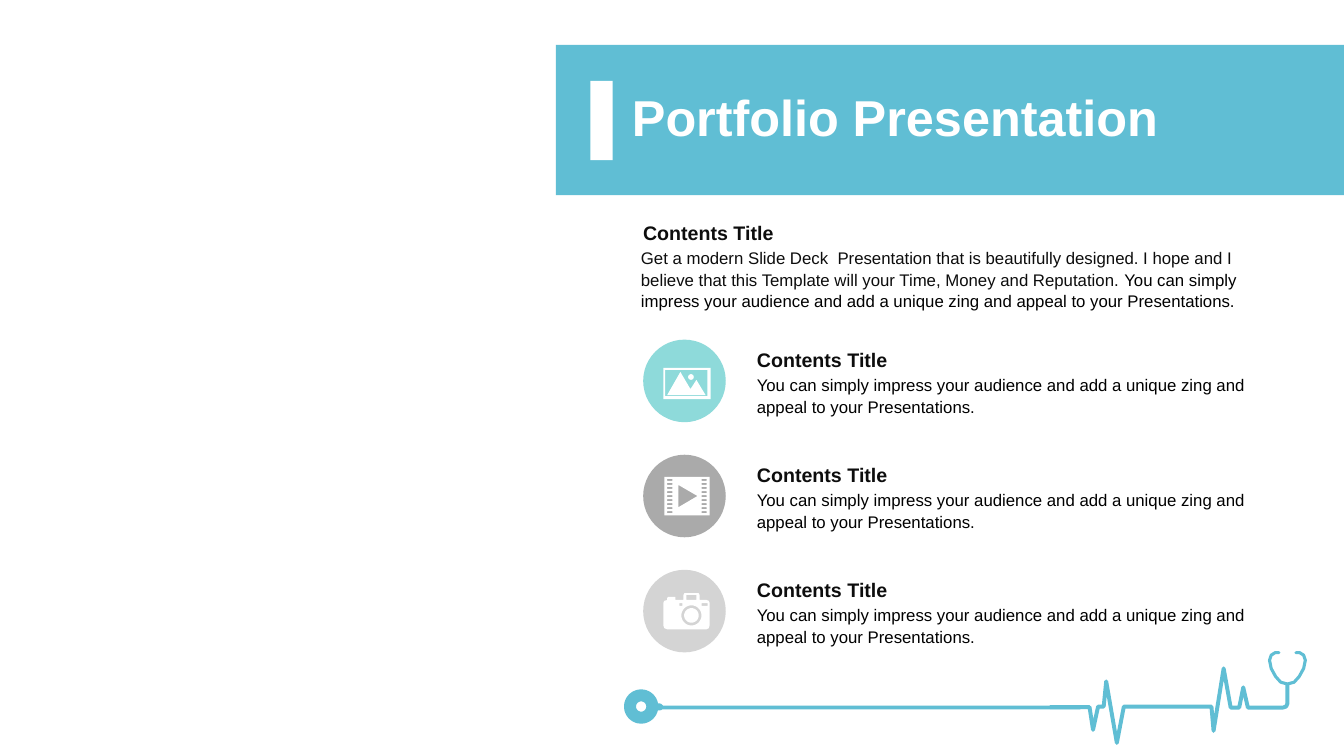
import dataclasses
import math
import typing

import lxml.etree
import pptx
import pptx.dml.color
import pptx.enum.shapes
import pptx.enum.text
import pptx.oxml.ns
import pptx.util

Pt = pptx.util.Pt
KIND = pptx.enum.shapes.MSO_SHAPE
TEXT = pptx.enum.text

Point = tuple[float, float]
Path = list[Point]

HEX = {
    "blue": "60BED4", "mint": "8EDADA", "gray": "AAAAAA", "pale": "D4D4D4",
    "white": "FFFFFF", "ink": "0D0D0D", "black": "000000",
}
FONTS = {
    "title": {"name": "Arial", "size": Pt(36), "bold": True},
    "head": {"name": "Arial", "size": Pt(14), "bold": True},
    "body": {"name": "Arial", "size": Pt(12), "bold": False},
}
ZING = ("You can simply impress your audience and add a unique zing "
        "and appeal to your Presentations.")
HOPE = ("Get a modern Slide Deck  Presentation that is beautifully designed. "
        "I hope and I believe that this Template will your Time, Money and "
        "Reputation. ")


@dataclasses.dataclass
class Box:
    left: float
    top: float
    width: float
    height: float


@dataclasses.dataclass
class Form:
    kind: typing.Any
    box: Box
    color: str


@dataclasses.dataclass
class Label:
    box: Box
    font: str
    runs: list[tuple[str, str]]
    inset: float = 7.2


@dataclasses.dataclass
class Row:
    color: str
    icon: list[Path]


def style(item: typing.Any, values: dict[str, typing.Any]) -> None:
    for name, value in values.items():
        setattr(item, name, value)


def rgb(color: str) -> pptx.dml.color.RGBColor:
    return pptx.dml.color.RGBColor.from_string(HEX[color])


def place(box: Box) -> dict[str, pptx.util.Length]:
    return {name: Pt(value) for name, value in dataclasses.asdict(box).items()}


def paint(shape: typing.Any, color: str) -> None:
    shape.shadow.inherit = False
    shape.fill.solid()
    shape.fill.fore_color.rgb = rgb(color)
    shape.line.fill.background()


def trace(shape: typing.Any, color: str, width: float) -> None:
    shape.shadow.inherit = False
    shape.fill.background()
    shape.line.color.rgb = rgb(color)
    shape.line.width = Pt(width)


def add_form(slide: typing.Any, form: Form) -> typing.Any:
    shape = slide.shapes.add_shape(form.kind, *place(form.box).values())
    paint(shape, form.color)
    return shape


def add_paths(slide: typing.Any, paths: list[Path], left: float = 0,
              top: float = 0, close: bool = True) -> typing.Any:
    spots = [[(Pt(left + x), Pt(top + y)) for x, y in path] for path in paths]
    pen = slide.shapes.build_freeform(*spots[0][0], scale=1.0)
    for path in spots:
        if path is not spots[0]:
            pen.move_to(*path[0])
        pen.add_line_segments(path[1:], close=close)
    return pen.convert_to_shape()


def add_tube(slide: typing.Any, path: Path, width: float) -> None:
    shape = add_paths(slide, [path], close=False)
    trace(shape, "blue", width)
    line = shape.line._get_or_add_ln()
    line.set("cap", "rnd")
    lxml.etree.SubElement(line, pptx.oxml.ns.qn("a:round"))


def write(part: typing.Any, font: str, runs: list[tuple[str, str]]) -> None:
    for words, color in runs:
        run = part.add_run()
        run.text = words
        style(run.font, FONTS[font])
        run.font.color.rgb = rgb(color)


def add_label(slide: typing.Any, label: Label) -> None:
    frame = slide.shapes.add_textbox(*place(label.box).values()).text_frame
    style(frame, {"word_wrap": True,
                  "auto_size": TEXT.MSO_AUTO_SIZE.SHAPE_TO_FIT_TEXT,
                  "margin_left": Pt(label.inset),
                  "margin_right": Pt(label.inset)})
    frame.paragraphs[0].line_spacing = 1.06
    write(frame.paragraphs[0], label.font, label.runs)


def rect(x: float, y: float, width: float, height: float) -> Path:
    return [(x, y), (x + width, y), (x + width, y + height), (x, y + height)]


def round_path(x: float, y: float, size: float, steps: int = 36) -> Path:
    turns = [2 * math.pi * step / steps for step in range(steps)]
    return [(x + size * math.cos(t), y + size * math.sin(t)) for t in turns]


# Icons, measured from the top left of their disc
PHOTO = [
    rect(14.4, 20.2, 33.8, 22.3), rect(15.8, 21.6, 30.2, 18.7),
    [(26.6, 23.1), (33.8, 35.3), (38.1, 28.8), (44.6, 39.6), (17.2, 39.6)],
    round_path(34.2, 26.7, 2),
]
FILM = [
    rect(15.1, 15.9, 32.4, 27.4),
    [(25.2, 21.6), (25.2, 37.5), (38.8, 29.5)],
    *[rect(x, 17.3 + 2.88 * step, 3.6, 1.44)
      for x in (17.2, 41.7) for step in range(9)],
]
SNAP = [
    [(29.5, 16.6), (39.6, 16.6), (40.3, 18), (40.3, 21.6), (45.3, 21.6),
     (46.9, 22.2), (47.5, 23.8), (47.5, 39.6), (46.9, 41.7), (45.3, 42.5),
     (17.2, 42.5), (15.1, 41.7), (14.4, 39.6), (14.4, 23.8), (15.1, 22.2),
     (17.2, 21.6), (17.2, 20.2), (18, 19.4), (23, 19.4), (23, 21.6),
     (28.8, 21.6), (28.8, 18)],
    rect(30.9, 18, 7.2, 3.6), rect(25.9, 23.8, 2.2, 2),
    rect(41.7, 23.8, 4.3, 2),
    round_path(34.5, 32.6, 7.2), round_path(34.5, 32.6, 5.2),
]
ROWS = [Row("mint", PHOTO), Row("gray", FILM), Row("pale", SNAP)]

# Heartbeat line and the headset at its end
PULSE = [
    (750.2, 505.1), (778.3, 505.1), (780.8, 521.3), (784.4, 504.7),
    (788.4, 504.7), (790.2, 486.7), (797.8, 530.6), (802.8, 504.7),
    (865.4, 504.7), (866.9, 522), (874.1, 477.4), (879.1, 505.4),
    (885.2, 505.4), (888.1, 491), (891.4, 505.4), (916.6, 505.4),
    (918.8, 504.6), (919.6, 502.6), (919.6, 489),
]
MID = 919.6
HALF = [(913.5, 466.2), (910.8, 466.2), (908, 468), (906.8, 471.6),
        (908, 477.5), (911.2, 483.3), (914.8, 487.3), (MID, 488.6)]
HEADSET = HALF + [(2 * MID - x, y) for x, y in HALF[-2::-1]]

FORMS = [
    Form(KIND.RECTANGLE, Box(397, 32, 563, 107.5), "blue"),
    Form(KIND.RECTANGLE, Box(421.7, 57.8, 16, 56.6), "white"),
    Form(KIND.ROUNDED_RECTANGLE, Box(465.8, 502.5, 7.9, 5), "blue"),
    Form(KIND.RECTANGLE, Box(462.2, 504, 309.6, 2.7), "blue"),
]


def main() -> None:
    deck = pptx.Presentation()
    style(deck, {"slide_width": Pt(960), "slide_height": Pt(540)})
    slide = deck.slides.add_slide(deck.slide_layouts[5])

    # Band, bar and pulse
    for form in FORMS:
        shape = add_form(slide, form)
        if form.kind == KIND.ROUNDED_RECTANGLE:
            shape.adjustments[0] = 0.5
    ring = add_form(slide, Form(KIND.OVAL, Box(450, 496.7, 16, 16), "white"))
    trace(ring, "blue", 8.57)
    add_tube(slide, PULSE, 2.8)
    add_tube(slide, HEADSET, 2.2)

    # Title, brought in front of the band
    title = slide.shapes.title
    style(title, place(Box(444.2, 57.6, 470.2, 56.2)))
    style(title.text_frame, {"word_wrap": True,
                             "auto_size": TEXT.MSO_AUTO_SIZE.NONE,
                             "vertical_anchor": TEXT.MSO_ANCHOR.MIDDLE})
    line = title.text_frame.paragraphs[0]
    style(line, {"alignment": TEXT.PP_ALIGN.LEFT, "line_spacing": 0.9})
    write(line, "title", [("Portfolio Presentation", "white")])
    title.element.getparent().append(title.element)

    # Intro
    head = [("Contents Title", "ink")]
    add_label(slide, Label(Box(450.7, 172.8, 452.9, 51.1), "body",
                           [(HOPE, "ink"), (ZING, "black")]))
    add_label(slide, Label(Box(450.7, 153.4, 452.9, 24.5), "head", head, 8.6))

    # Rows of disc, icon and text
    for step, row in enumerate(ROWS):
        top = 242.6 + 82.2 * step
        add_form(slide, Form(KIND.OVAL, Box(459.4, top, 59, 59), row.color))
        paint(add_paths(slide, row.icon, 459.4, top), "white")
        add_label(slide, Label(Box(533.5, top + 20.9, 372.2, 36), "body",
                               [(ZING, "black")]))
        add_label(slide, Label(Box(532.1, top + 1.5, 374.4, 24.5), "head",
                               head, 8.6))

    deck.save("out.pptx")


if __name__ == "__main__":
    main()
